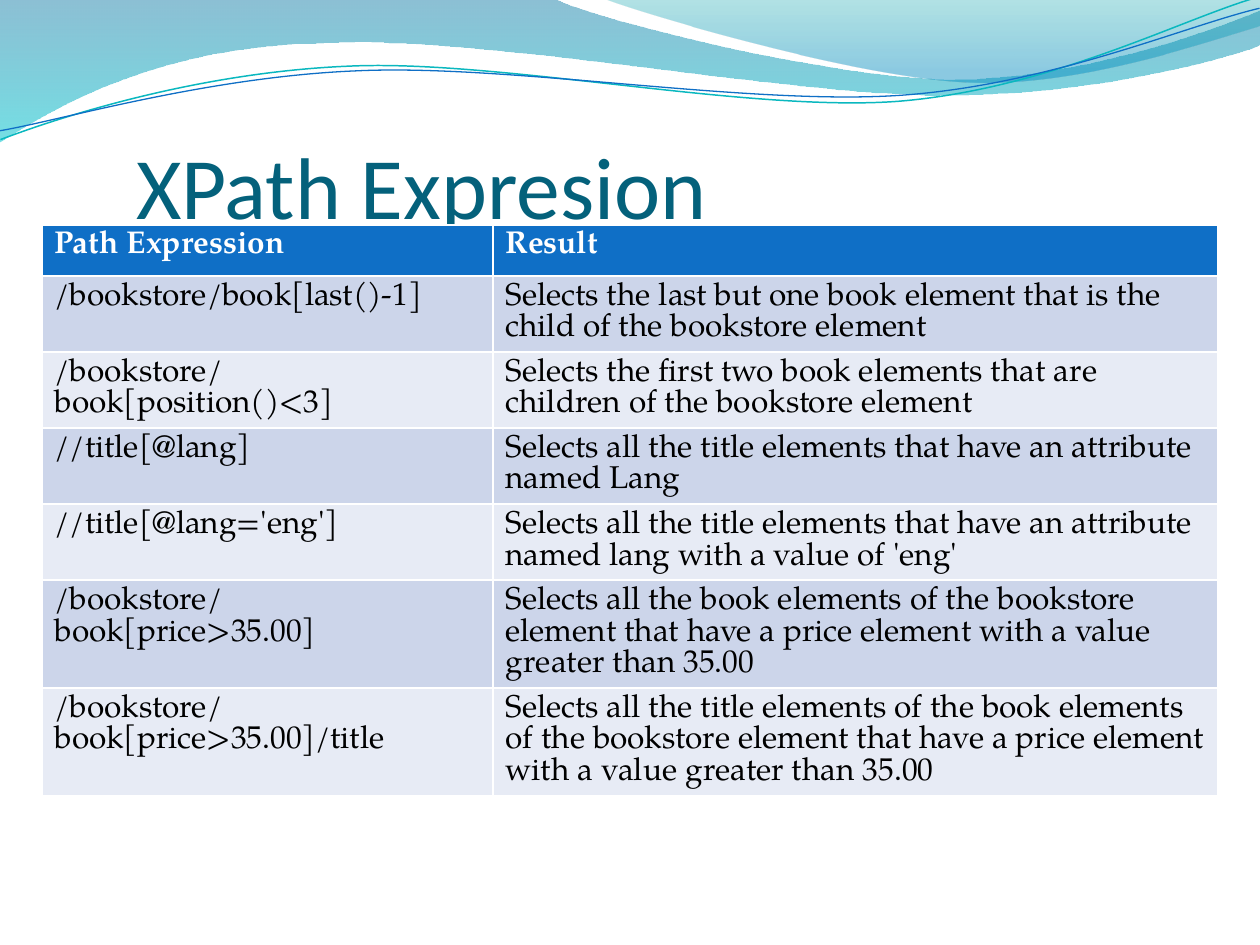
from lxml.etree import SubElement
from pptx import Presentation
from pptx.dml.color import RGBColor
from pptx.enum.text import MSO_ANCHOR as Anchor, PP_ALIGN as Align
from pptx.oxml.ns import qn
from pptx.util import Pt

PX = 914400 / 126
BLUE, TEAL, WHITE = "0F6FC6", "0AB8BF", "FFFFFF"


def color(value):
    return RGBColor.from_string(value)


def draw_curve(shapes, start, segments, close):
    points = [pair for segment in segments for pair in zip(segment[::2], segment[1::2])]
    builder = shapes.build_freeform(*start, scale=PX)
    builder.add_line_segments(points, close=close)
    shape = builder.convert_to_shape()
    shape.shadow.inherit = False
    lines = shape._element.spPr.iter(qn("a:lnTo"))
    lines = iter(list(lines))
    for segment in segments:
        line = next(lines)
        if len(segment) == 6:
            line.addprevious(line.makeelement(qn("a:cubicBezTo")))
            curve = line.getprevious()
            for old in (line, next(lines), next(lines)):
                curve.append(old[0])
                old.getparent().remove(old)
    return shape


deck = Presentation()
deck.slide_width = round(1260 * PX)
deck.slide_height = round(945 * PX)
page = deck.slides.add_slide(deck.slide_layouts[5])

bands = [
    ((0, 0),
     [(554, -1), (600, 21, 837, 79, 955, 79), (1074, 79, 1207, 33, 1260, 11),
      (1261, 45), (1239, 55, 1096, 96, 940, 95), (783, 95, 481, 35, 324, 43),
      (163, 45, 58, 105, -1, 142), (0, 0)],
     [(0, "0074A1", 45), (1, "00C6CF", 55)]),
    ((604, -1),
     [(641, 14, 859, 78, 969, 82), (1079, 87, 1211, 40, 1260, 26),
      (1260, 0), (604, -1)],
     [(0, "00A1A9", 30), (0.8, "008BBF", 45)]),
]
for start, segments, stops in bands:
    band = draw_curve(page.shapes, start, segments, True)
    band.line.fill.background()
    band.fill.gradient()
    band.fill.gradient_angle = 270
    for stop, (position, value, opacity) in zip(band.fill.gradient_stops, stops):
        stop.position = position
        stop.color.rgb = color(value)
    for node, (_, _, opacity) in zip(band._element.spPr.iter(qn("a:srgbClr")), stops):
        SubElement(node, qn("a:alpha"), val=str(opacity * 1000))

waves = [
    ((-2, 110),
     [(59, 90, 199, 52, 350, 53), (499, 53, 745, 118, 896, 114),
      (1049, 109, 1184, 45, 1260, 27)], TEAL, 0.85),
    ((-2, 101),
     [(57, 94, 207, 57, 357, 58), (509, 58, 750, 112, 902, 108),
      (1052, 104, 1187, 52, 1262, 38)], BLUE, 0.75),
]
for start, segments, value, width in waves:
    wave = draw_curve(page.shapes, start, segments, False)
    wave.rotation = 357.3
    wave.fill.background()
    wave.line.color.rgb = color(value)
    wave.line.width = Pt(width)

title = page.shapes.title
title.left, title.top, title.width, title.height = [
    round(length * PX) for length in (136, 26, 1124, 211)]
frame = title.text_frame
frame.text = "XPath Expresion"
frame.vertical_anchor = Anchor.BOTTOM
frame.margin_left = frame.margin_right = frame.margin_bottom = 0
para = frame.paragraphs[0]
para.alignment = Align.LEFT
para.font.name = "Calibri"
para.font.size = Pt(50)
para.font.color.rgb = color("04617B")

rows = [
    ("Path Expression", "Result"),
    ("/bookstore/book[last()-1]",
     "Selects the last but one book element that is the child of the bookstore element"),
    ("/bookstore/book[position()<3]",
     "Selects the first two book elements that are children of the bookstore element"),
    ("//title[@lang]",
     "Selects all the title elements that have an attribute named Lang"),
    ("//title[@lang='eng']",
     "Selects all the title elements that have an attribute named lang with a value of 'eng'"),
    ("/bookstore/book[price>35.00]",
     "Selects all the book elements of the bookstore element that have a price element "
     "with a value greater than 35.00"),
    ("/bookstore/book[price>35.00]/title",
     "Selects all the title elements of the book elements of the bookstore element that "
     "have a price element with a value greater than 35.00"),
]
table = page.shapes.add_table(
    len(rows), 2, *[round(length * PX) for length in (42, 225, 1176, 656)]).table
for column, width in zip(table.columns, (451, 725)):
    column.width = round(width * PX)
for row_index, texts in enumerate(rows):
    table.rows[row_index].height = round(51 * PX)
    header = row_index == 0
    for column_index, text in enumerate(texts):
        cell = table.cell(row_index, column_index)
        cell.text = text
        para = cell.text_frame.paragraphs[0]
        para.font.name = "TeX Gyre Pagella"
        para.font.size = Pt(18)
        para.font.bold = header
        para.font.color.rgb = color(WHITE if header else "000000")
        cell.fill.solid()
        cell.fill.fore_color.rgb = color(
            BLUE if header else "CCD5EA" if row_index % 2 else "E7EBF5")

deck.save("out.pptx")
